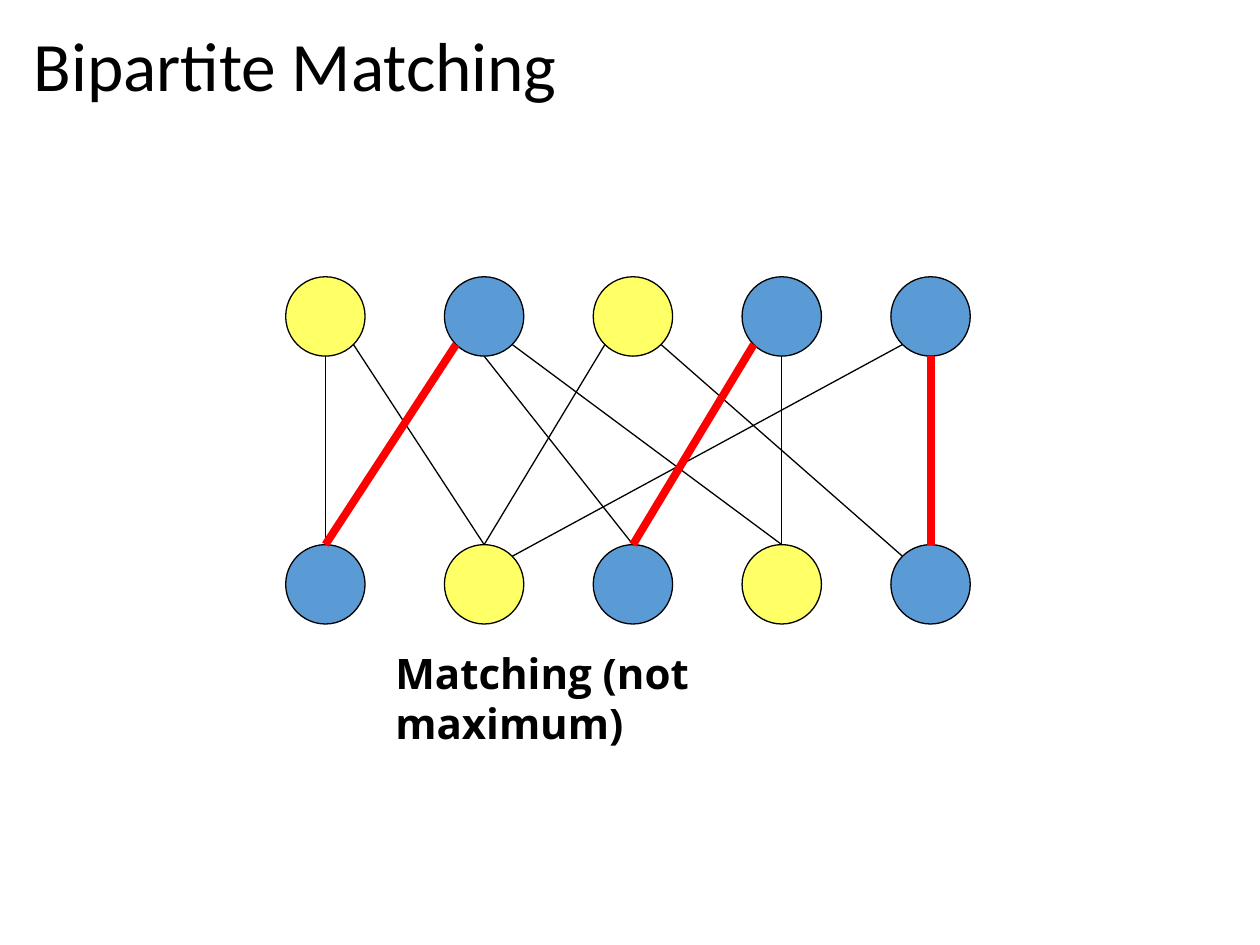
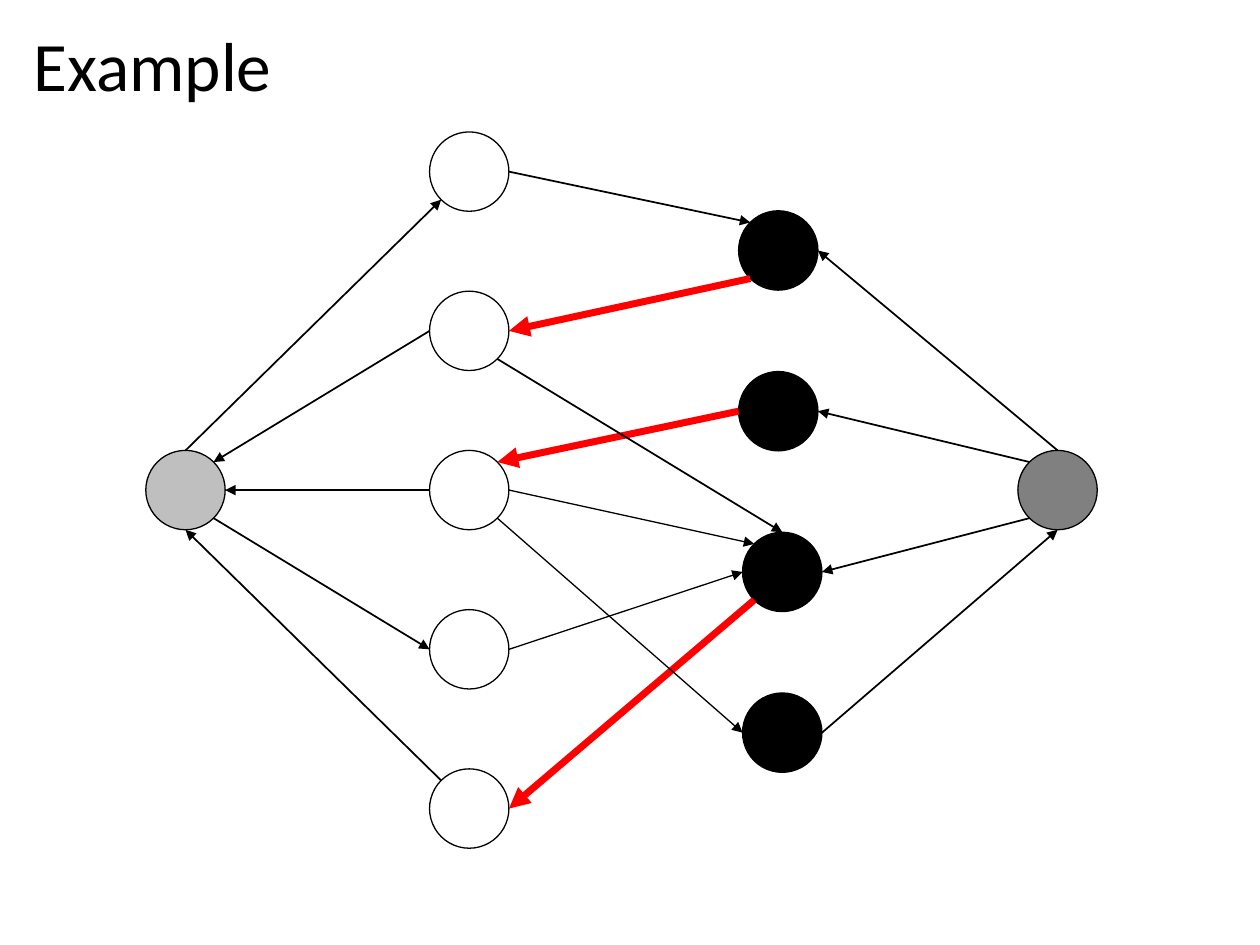
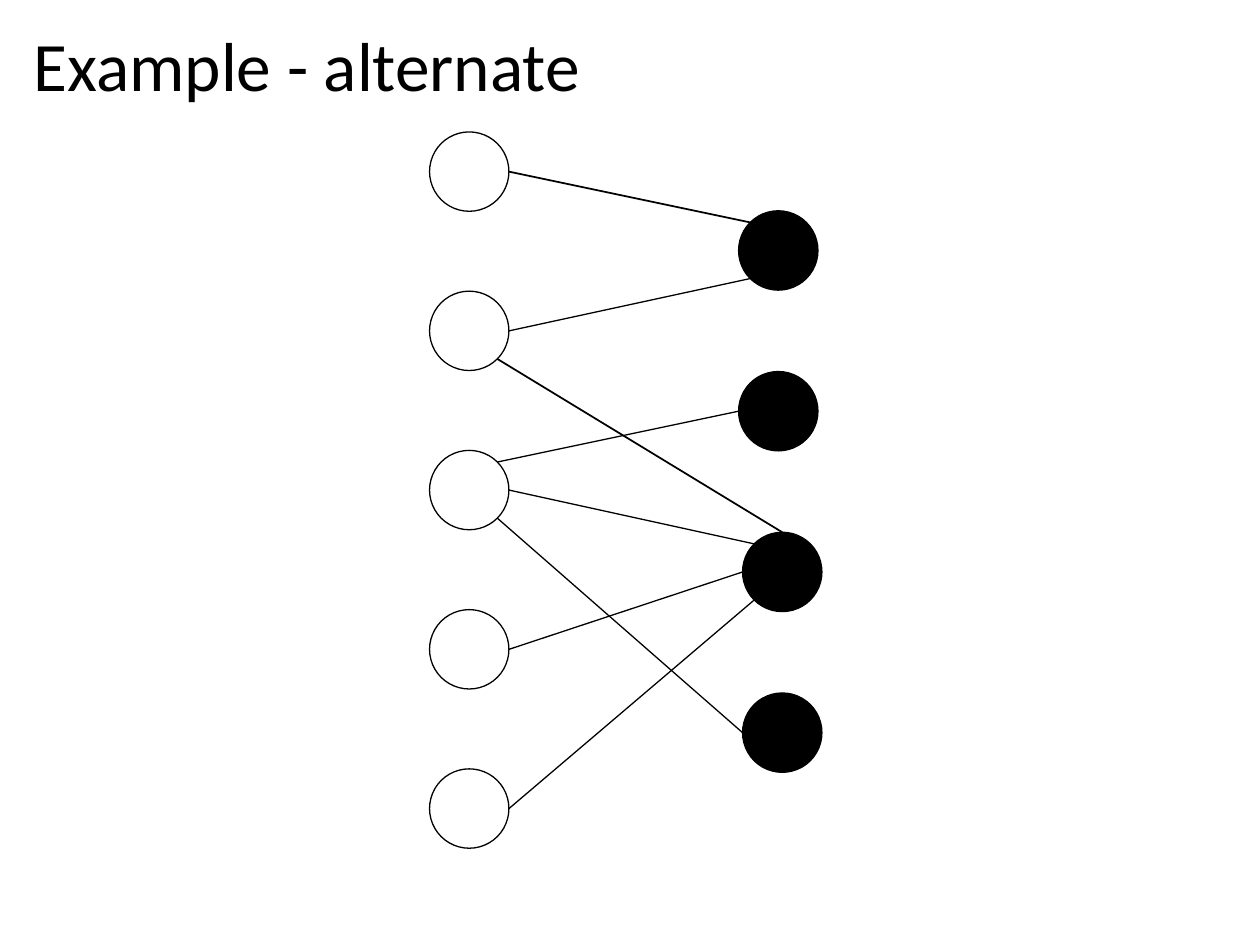
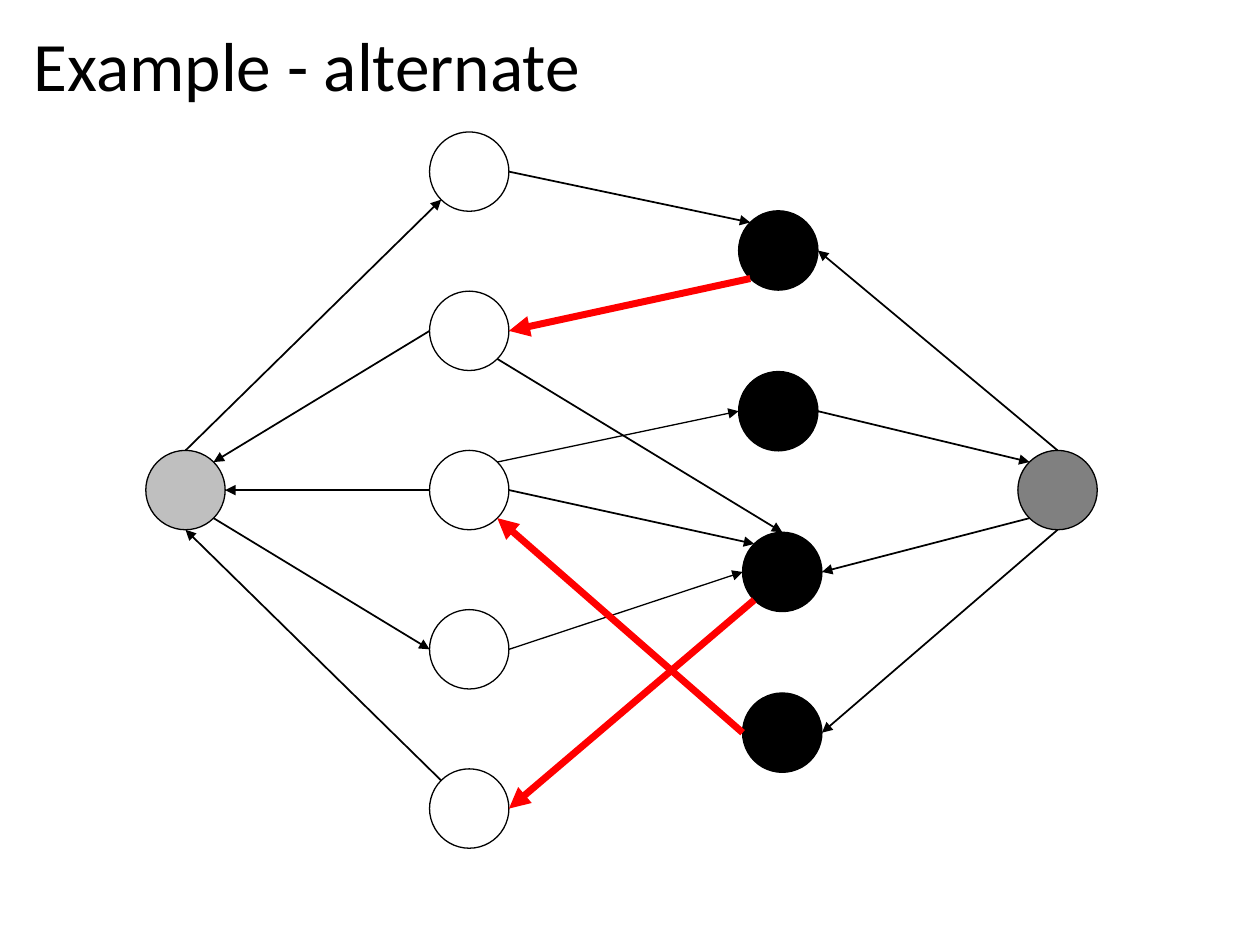
from math import sqrt

from lxml import etree
from pptx import Presentation
from pptx import util as u
from pptx.dml import color
from pptx.enum import shapes, text
from pptx.oxml import ns

BLACK, WHITE, RED = "000000", "FFFFFF", "FF0000"
YELLOW, BLUE = "FFFF66", "5B9BD5"
LIGHT_GREY, DARK_GREY = "BFBFBF", "808080"
THIN, MEDIUM = 0.75, 1

RADIUS = 0.8
DIAGONAL = sqrt(0.5)
SIDES = {
    "N": (0, -1), "S": (0, 1), "W": (-1, 0), "E": (1, 0),
    "NW": (-DIAGONAL, -DIAGONAL), "NE": (DIAGONAL, -DIAGONAL),
    "SW": (-DIAGONAL, DIAGONAL), "SE": (DIAGONAL, DIAGONAL),
}


def draw_node(page, centre, fill):
    x, y = centre
    node = page.shapes.add_shape(
        shapes.MSO_SHAPE.OVAL, u.Cm(x - RADIUS), u.Cm(y - RADIUS),
        u.Cm(2 * RADIUS), u.Cm(2 * RADIUS))
    node.shadow.inherit = False
    node.fill.solid()
    node.fill.fore_color.rgb = color.RGBColor.from_string(fill)
    node.line.color.rgb = color.RGBColor.from_string(BLACK)
    node.line.width = u.Pt(THIN)


def draw_edge(page, start, start_side, end, end_side, line_color, width, arrow):
    """Join the rims of the nodes centred on start and end at the given sides."""
    ends = []
    for centre, side in ((start, start_side), (end, end_side)):
        for place, step in zip(centre, SIDES[side]):
            ends.append(u.Cm(place + RADIUS * step))
    edge = page.shapes.add_connector(shapes.MSO_CONNECTOR.STRAIGHT, *ends)
    edge.line.color.rgb = color.RGBColor.from_string(line_color)
    edge.line.width = u.Pt(width)
    if arrow:
        line = edge.line._get_or_add_ln()
        etree.SubElement(line, ns.qn("a:tailEnd"), type="triangle")
    etree.SubElement(edge._element.spPr, ns.qn("a:effectLst"))


deck = Presentation()
deck.slide_width, deck.slide_height = u.Cm(25.4), u.Cm(19.05)

# Pages with their titles
pages = []
for title in ("Bipartite Matching", "Example",
              "Example - alternate", "Example - alternate"):
    page = deck.slides.add_slide(deck.slide_layouts[6])
    box = page.shapes.add_textbox(u.Cm(0.43), u.Cm(0.46), u.Cm(24.43), u.Cm(1.88))
    box.text_frame.word_wrap = True
    box.text_frame.vertical_anchor = text.MSO_ANCHOR.MIDDLE
    para = box.text_frame.paragraphs[0]
    para.text = title
    para.line_spacing = 0.9
    para.font.name, para.font.size = "Calibri", u.Pt(39.6)
    para.font.color.rgb = color.RGBColor.from_string(BLACK)
    pages.append(page)

# Slide 1: two rows of nodes and a matching that is not maximum
page = pages[0]
columns = [6.56] + [9.76 + 3 * step for step in range(4)]
upper = [(x, 6.38) for x in columns]
lower = [(x, 11.78) for x in columns]
for centre, fill in zip(upper + lower,
                        (YELLOW, BLUE, YELLOW, BLUE, BLUE,
                         BLUE, YELLOW, BLUE, YELLOW, BLUE)):
    draw_node(page, centre, fill)

row_edges = [
    (1, "SE", 2, "N"), (1, "S", 1, "N"), (2, "SE", 4, "N"), (2, "S", 3, "N"),
    (2, "SW", 1, "N"), (5, "SW", 2, "NE"), (5, "S", 5, "N"),
    (3, "SE", 5, "NW"), (4, "SW", 3, "N"), (4, "S", 4, "N"), (3, "SW", 2, "N"),
]
for top, top_side, bottom, bottom_side in row_edges:
    matched = (top, bottom) in {(2, 1), (4, 3), (5, 5)}
    draw_edge(page, upper[top - 1], top_side, lower[bottom - 1], bottom_side,
              RED if matched else BLACK, 4.5 if matched else THIN, arrow=False)

box = page.shapes.add_textbox(u.Cm(7.72), u.Cm(12.93), u.Cm(10.87), u.Cm(1.27))
box.text_frame.word_wrap = True
para = box.text_frame.paragraphs[0]
para.text = "Matching (not maximum)"
para.font.name, para.font.size, para.font.bold = "Open Sans", u.Pt(24), True
para.font.color.rgb = color.RGBColor.from_string(BLACK)

# Slides 2 to 4: the same graph, with or without source and sink
centres = {f"white{row + 1}": (9.46, 3.46 + 3.21 * row) for row in range(5)}
for row, x in enumerate((15.69, 15.69, 15.77, 15.77)):
    centres[f"black{row + 1}"] = (x, 5.05 + 3.24 * row)
centres["source"] = (3.74, 9.88)
centres["sink"] = (21.32, 9.88)
fills = {"white": WHITE, "black": BLACK, "source": LIGHT_GREY, "sink": DARK_GREY}

graph_edges = [
    ("white4", "E", "black3", "W"), ("white5", "E", "black3", "SW"),
    ("white3", "E", "black3", "NW"), ("white1", "E", "black1", "NW"),
    ("white3", "NE", "black2", "W"), ("white2", "SE", "black3", "N"),
    ("white2", "E", "black1", "SW"), ("white3", "SE", "black4", "W"),
]
flow_edges = [
    ("source", "N", "white1", "SW"), ("source", "NE", "white2", "W"),
    ("source", "E", "white3", "W"), ("source", "SE", "white4", "W"),
    ("source", "S", "white5", "NW"),
    ("black1", "E", "sink", "N"), ("black2", "E", "sink", "NW"),
    ("black3", "E", "sink", "SW"), ("black4", "E", "sink", "S"),
]
medium_pairs = {("white1", "black1"), ("white2", "black3")}
medium_pairs.update((start, end) for start, _, end, _ in flow_edges)

first_matching = {("white2", "black1"), ("white3", "black2"), ("white5", "black3")}
other_matching = {("white2", "black1"), ("white3", "black4"), ("white5", "black3")}

for page, matching, extra_medium in (
        (pages[1], first_matching, set()),
        (pages[2], set(), set()),
        (pages[3], other_matching, {("white3", "black3")})):
    has_flow = bool(matching)
    for name, centre in centres.items():
        if has_flow or name not in ("source", "sink"):
            draw_node(page, centre, fills[name.rstrip("12345")])

    # Edges that carry flow point backwards
    reversed_pairs = set(matching)
    for white, black in matching:
        reversed_pairs |= {("source", white), (black, "sink")}

    for start, start_side, end, end_side in graph_edges + flow_edges * has_flow:
        pair = (start, end)
        line_color, width = BLACK, THIN
        if pair in matching:
            line_color, width = RED, 4
        elif pair in medium_pairs | extra_medium:
            width = MEDIUM
        if pair in reversed_pairs:
            start, start_side, end, end_side = end, end_side, start, start_side
        draw_edge(page, centres[start], start_side, centres[end], end_side,
                  line_color, width, arrow=has_flow)

deck.save("out.pptx")
